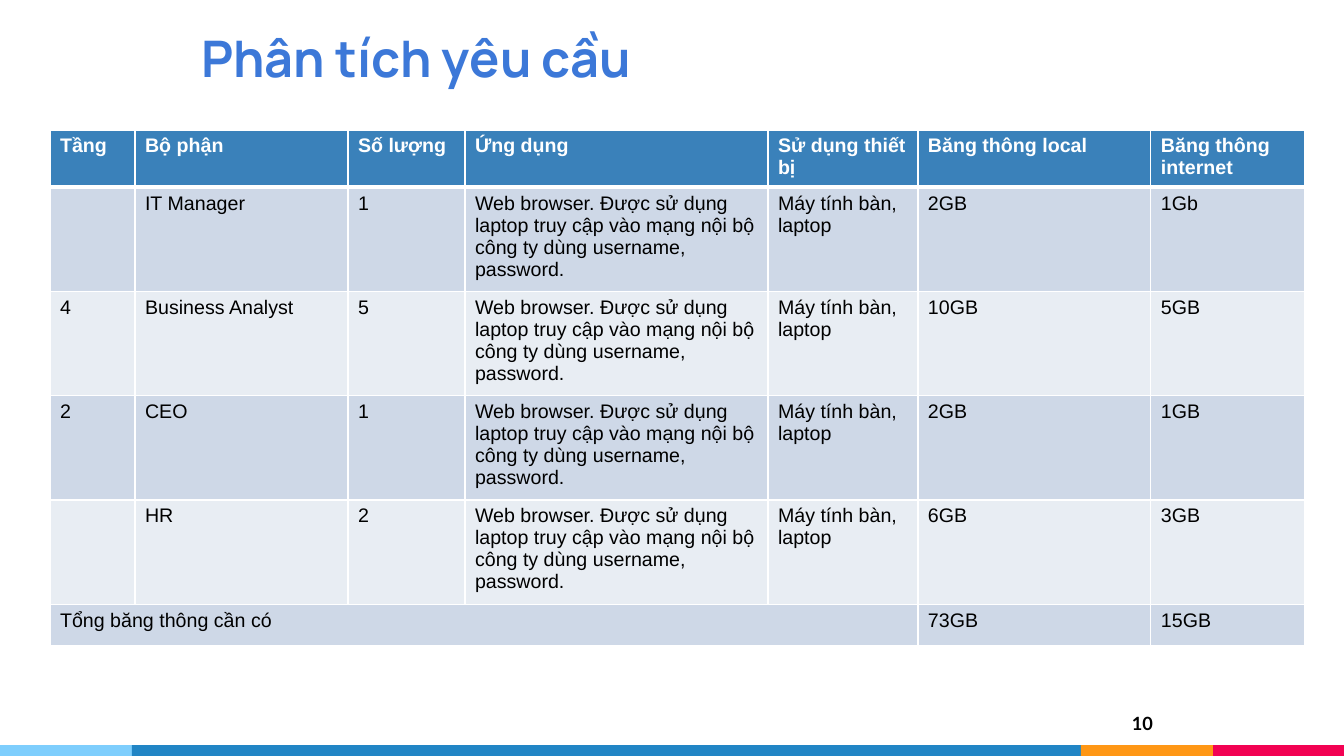
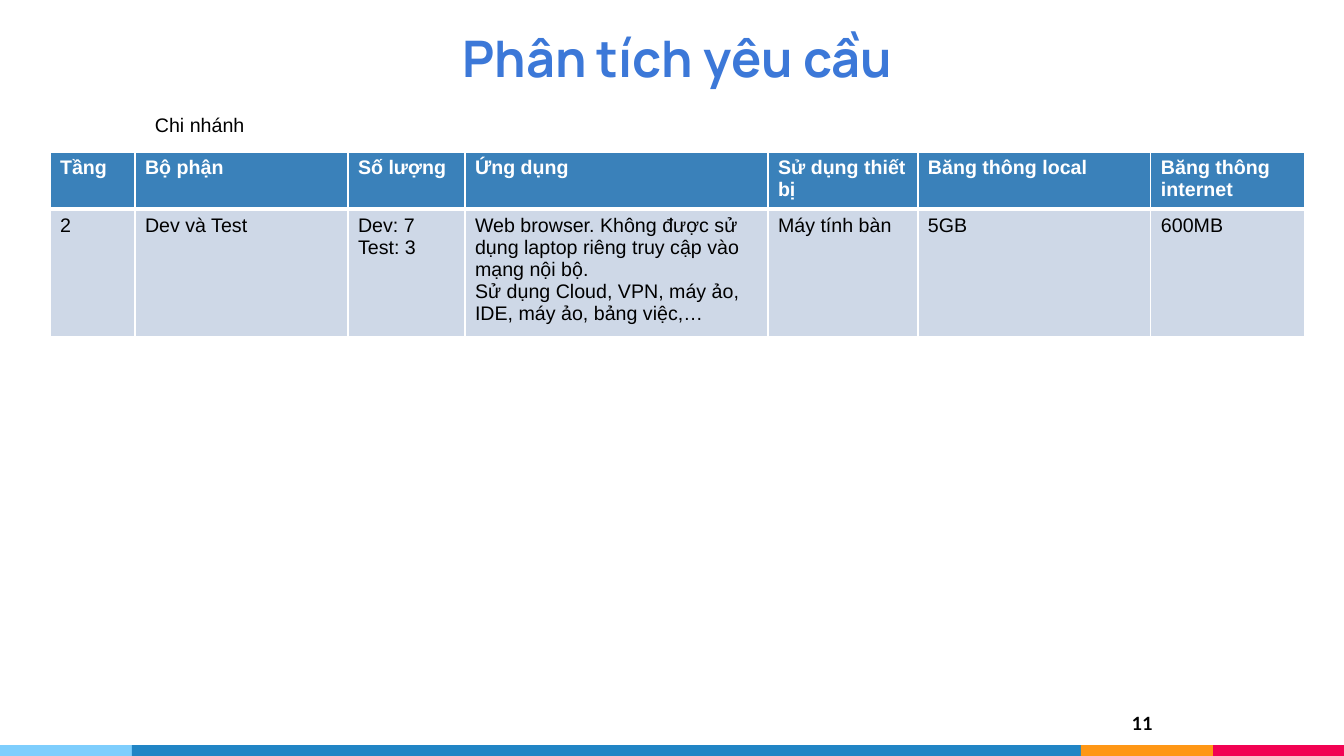
from lxml import etree
from pptx import Presentation
from pptx.dml.color import RGBColor
from pptx.enum import shapes, text
from pptx.oxml import ns
from pptx.util import Pt

PX = 914400 / 100.8
WIDTH, HEIGHT = 1344, 756

WHITE = RGBColor(0xFF, 0xFF, 0xFF)
BLACK = RGBColor(0, 0, 0)
TITLE_BLUE = RGBColor(0x3C, 0x78, 0xD8)
HEADER_BLUE = RGBColor(0x3A, 0x81, 0xBA)
ROW_DARK = RGBColor(0xCE, 0xD8, 0xE7)
ROW_LIGHT = RGBColor(0xE8, 0xED, 0xF3)
SKY = RGBColor(0x7E, 0xCE, 0xFD)
OCEAN = RGBColor(0x21, 0x85, 0xC5)
ORANGE = RGBColor(0xFF, 0x97, 0x15)
CRIMSON = RGBColor(0xF2, 0x02, 0x53)

TITLE = {"name": "Manrope", "size": Pt(36), "bold": True, "color": TITLE_BLUE}
NUMBER = {"name": "Lato", "size": Pt(13), "bold": True, "color": BLACK}
BODY = {"name": "Arial", "size": Pt(14), "bold": False, "color": BLACK}
HEADER = {**BODY, "bold": True, "color": WHITE}

BANDS = [(SKY, 132), (OCEAN, 949), (ORANGE, 132), (CRIMSON, 131)]
BAND_TOP = 745
COLUMNS = [85, 213, 117, 303, 150, 233, 154]
HEADINGS = ["Tầng", "Bộ phận", "Số lượng", "Ứng dụng", "Sử dụng thiết bị",
            "Băng thông local", "Băng thông internet"]


def px(*values):
    return [round(v * PX) for v in values]


class Deck:
    def __init__(self):
        self.prs = Presentation()
        self.prs.slide_width, self.prs.slide_height = px(WIDTH, HEIGHT)
        self.slide = None

    def add_slide(self, title, number, align):
        self.slide = self.prs.slides.add_slide(self.prs.slide_layouts[5])
        self.bands()
        self.title(title, align)
        self.text(number, (1103, 702, 60, 46), NUMBER, text.PP_ALIGN.RIGHT, inset=10)

    def format(self, tf, style, align=text.PP_ALIGN.LEFT):
        for p in tf.paragraphs:
            p.alignment = align
            for r in p.runs:
                for key, value in style.items():
                    if key == "color":
                        r.font.color.rgb = value
                    else:
                        setattr(r.font, key, value)

    def frame(self, tf, **values):
        for key, value in values.items():
            setattr(tf, key, value)

    def margins(self, tf, x, y):
        x, y = px(x, y)
        self.frame(tf, margin_left=x, margin_right=x, margin_top=y, margin_bottom=y)

    def bands(self):
        left = 0
        for color, width in BANDS:
            sp = self.slide.shapes.add_shape(
                shapes.MSO_SHAPE.RECTANGLE, *px(left, BAND_TOP, width, HEIGHT - BAND_TOP))
            sp.shadow.inherit = False
            sp.fill.solid()
            sp.fill.fore_color.rgb = color
            sp.line.fill.background()
            left += width

    def title(self, words, align):
        sp = self.slide.shapes.title
        sp.left, sp.top, sp.width, sp.height = px(191, 6, 973, 92)
        tf = sp.text_frame
        tf.text = words
        self.frame(tf, word_wrap=True, auto_size=text.MSO_AUTO_SIZE.NONE,
                   vertical_anchor=text.MSO_ANCHOR.BOTTOM)
        self.margins(tf, 10, 10)
        self.format(tf, TITLE, align)

    def text(self, words, box, style, align=text.PP_ALIGN.LEFT, inset=None, wrap=True):
        tf = self.slide.shapes.add_textbox(*px(*box)).text_frame
        tf.text = words
        tf.word_wrap = wrap
        if inset is not None:
            self.margins(tf, inset, inset)
        self.format(tf, style, align)

    def borders(self, cell, is_header, below_header):
        tc_pr = cell._tc.get_or_add_tcPr()
        for side in "LRTB":
            thick = (is_header and side == "B") or (below_header and side == "T")
            ln = etree.SubElement(tc_pr, ns.qn(f"a:ln{side}"), w=str(Pt(3 if thick else 1)))
            fill = etree.SubElement(ln, ns.qn("a:solidFill"))
            etree.SubElement(fill, ns.qn("a:srgbClr"), val=str(WHITE))

    def table(self, top, heights, body):
        rows = [HEADINGS] + body
        table = self.slide.shapes.add_table(
            len(rows), len(COLUMNS), *px(50, top, sum(COLUMNS), sum(heights))).table
        for column, width in zip(table.columns, px(*COLUMNS)):
            column.width = width
        for row, height in zip(table.rows, px(*heights)):
            row.height = height
        for i, row in enumerate(rows):
            color = HEADER_BLUE if i == 0 else (ROW_LIGHT, ROW_DARK)[i % 2]
            for j, words in enumerate(row):
                cell = table.cell(i, j)
                self.borders(cell, i == 0, i == 1)
                cell.fill.solid()
                cell.fill.fore_color.rgb = color
                if words:
                    cell.text = words
                    self.format(cell.text_frame, BODY if i else HEADER)
        return table


deck = Deck()
heading = "Phân tích yêu cầu"

browser = "Web browser. Được sử dụng laptop truy cập vào mạng nội bộ công ty dùng username, password."
devices = "Máy tính bàn, laptop"
staff = [
    ("", "IT Manager", "1", "2GB", "1Gb"),
    ("4", "Business Analyst", "5", "10GB", "5GB"),
    ("2", "CEO", "1", "2GB", "1GB"),
    ("", "HR", "2", "6GB", "3GB"),
]
staff_rows = [[floor, role, count, browser, devices, local, internet]
              for floor, role, count, local, internet in staff]
total_row = ["Tổng băng thông cần có", "", "", "", "", "73GB", "15GB"]

deck.add_slide(heading, "10", text.PP_ALIGN.LEFT)
table = deck.table(130, [55] + [98] * len(staff) + [41], staff_rows + [total_row])
table.cell(5, 0).merge(table.cell(5, 4))

deck.add_slide(heading, "11", text.PP_ALIGN.CENTER)
deck.table(152, [54, 120], [[
    "2", "Dev và Test", "Dev: 7\nTest: 3",
    "Web browser.\u00a0Không được sử dụng laptop riêng truy cập vào mạng nội bộ.\n"
    "Sử dụng Cloud, VPN, máy ảo, IDE, máy ảo, bảng việc,…",
    "Máy tính bàn", "5GB", "600MB"]])
deck.text("Chi nhánh", (145, 108, 110, 34), BODY, wrap=False)

deck.prs.save("out.pptx")
